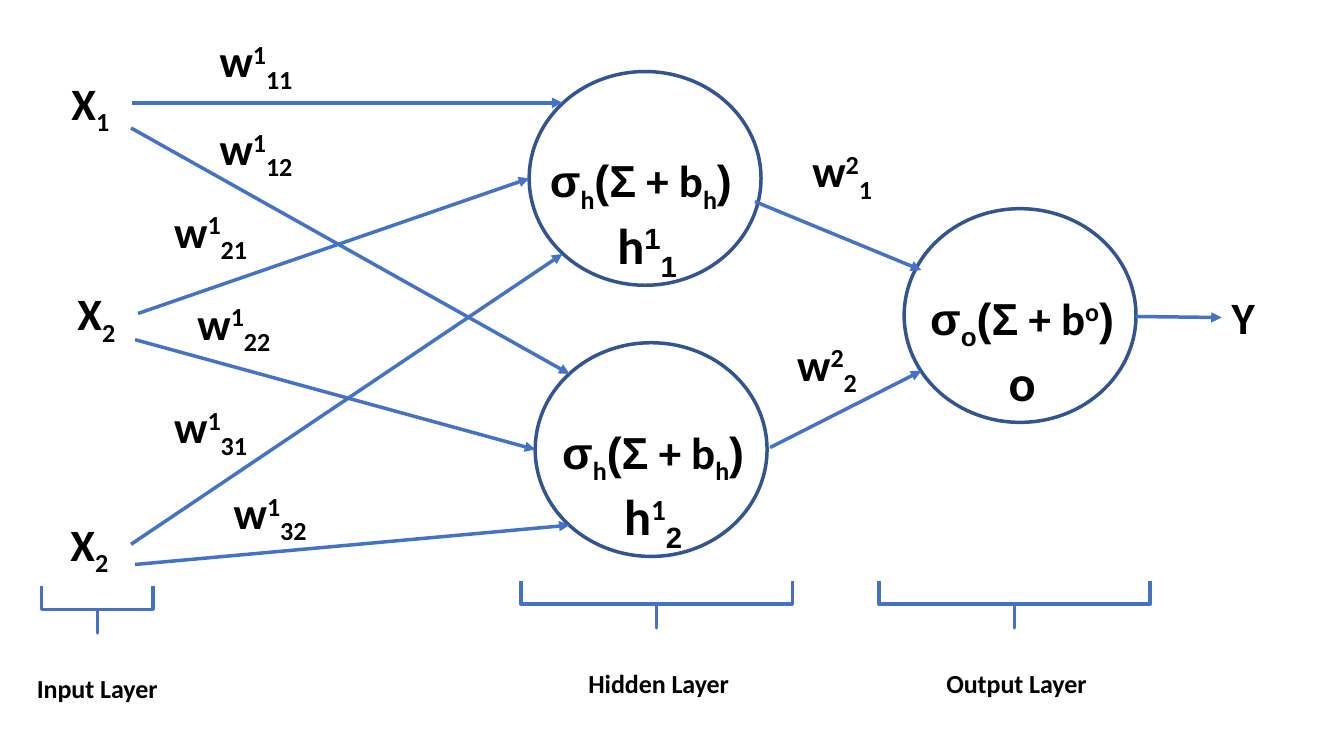
"""Build a slide of a small neural network with weights, neurons and layer braces."""
from pptx import Presentation, util as u
from pptx.dml.color import RGBColor
from pptx.enum import shapes, text
from pptx.oxml import parse_xml
from pptx.oxml.ns import nsdecls, qn

COLOURS = {"ink": "000000", "arrow": "4472C4", "ring": "325491"}
COLUMNS, ROWS = 133.33, 75
CELL = u.Inches(0.1)
LINE_WIDTH = 2.5
SANS, BODY = "Arial", "Calibri"
SUB, SUP = -25, 30

INPUTS = [("X", "1", 6.1, 7), ("X", "2", 6.7, 27.9), ("X", "2", 6, 50.8)]
OUTPUT = ("Y", 121.2, 28.3)
WEIGHTS = [
    ("1", "11", 20.8, 2.8), ("1", "12", 20.8, 11.5),
    ("1", "21", 16.3, 19.7), ("1", "22", 18.6, 28.8),
    ("1", "31", 16.3, 39.1), ("1", "32", 22.2, 47.6),
    ("2", "1", 79.6, 13.7), ("2", "2", 78.1, 32.9),
]
HIDDEN_SUM = [("σ", 0, SANS), ("h", SUB, BODY), ("(Σ", 0, SANS), (" + b", 0, BODY), ("h", SUB, BODY)]
OUTPUT_SUM = [("σ", 0, SANS), ("ο", SUB, SANS), ("(Σ", 0, SANS), (" + b", 0, BODY), ("o", SUP, BODY)]
NEURONS = [
    (52.5, 7.1, HIDDEN_SUM + [(") ", 0, SANS)], [("h", 0, BODY), ("1", SUP, SANS), ("1", SUB, SANS)]),
    (53.1, 34, HIDDEN_SUM + [(")", 0, SANS)], [("h", 0, BODY), ("1", SUP, BODY), ("2", SUB, SANS)]),
    (89.7, 20.7, OUTPUT_SUM + [(")", 0, SANS)], [("o", 0, BODY)]),
]
ARROWS = [
    (13.1, 10.2, 55.8, 10.2), (13, 12.7, 56.5, 37.1),
    (13.7, 31.1, 52.5, 17.7), (13.4, 33.7, 53.1, 44.6),
    (13, 54, 55.8, 25.2), (13.4, 56, 56.5, 52.1),
    (74.9, 20, 91.4, 26.8), (76.4, 44.4, 91.4, 36.8),
    (112.7, 31.4, 121.2, 31.5),
]
LAYERS = [
    ("Input Layer", 9.65, 60.45, 11.1, 0),
    ("Hidden Layer", 65.15, 59.95, 26.9, 0.2),
    ("Output Layer", 100.65, 59.95, 26.9, 0.2),
]
RING_SIZE = (23, 21.2)
FORMULA_SHIFT, FORMULA_SIZE = (1, 7.6), (21.4, 12.5)
BRACE_DEPTH, CAPTION_DROP, CAPTION_SIZE = 4.7, 2.8, (20.3, 4.6)
LABEL_HEIGHT = 6.4


def cells(*counts):
    return [round(count * CELL) for count in counts]


def colour(name):
    return RGBColor.from_string(COLOURS[name])


def add_text(page, place, lines, align=text.PP_ALIGN.LEFT):
    frame = page.shapes.add_textbox(*cells(*place)).text_frame
    frame.word_wrap = True
    frame.auto_size = text.MSO_AUTO_SIZE.SHAPE_TO_FIT_TEXT
    for index, (size, spans) in enumerate(lines):
        para = frame.add_paragraph() if index else frame.paragraphs[0]
        para.alignment = align
        for words, level, face in spans:
            span = para.add_run()
            span.text = words
            for key, value in {"size": u.Pt(size), "bold": True, "name": face}.items():
                setattr(span.font, key, value)
            span.font.color.rgb = colour("ink")
            if level:
                span.font._element.set("baseline", str(level * 1000))


def add_outline(page, kind, place, tone):
    shape = page.shapes.add_shape(kind, *cells(*place))
    shape.shadow.inherit = False
    shape.fill.background()
    shape.line.color.rgb = colour(tone)
    shape.line.width = u.Pt(LINE_WIDTH)
    return shape


def add_arrow(page, ends):
    arrow = page.shapes.add_connector(shapes.MSO_CONNECTOR.STRAIGHT, *cells(*ends))
    arrow.line.color.rgb = colour("arrow")
    arrow.line.width = u.Pt(LINE_WIDTH)
    properties = arrow._element.find(qn("p:spPr"))
    properties.find(qn("a:ln")).append(parse_xml(f'<a:tailEnd {nsdecls("a")} type="triangle"/>'))
    properties.append(parse_xml(f'<a:effectLst {nsdecls("a")}/>'))


def add_layer(page, name, centre, middle, width, shift):
    place = (centre - BRACE_DEPTH / 2, middle - width / 2, BRACE_DEPTH, width)
    brace = add_outline(page, shapes.MSO_SHAPE.RIGHT_BRACE, place, "arrow")
    brace.rotation = 90
    brace.adjustments[0], brace.adjustments[1] = 0, 0.5
    left = centre + shift - CAPTION_SIZE[0] / 2
    add_text(page, (left, middle + CAPTION_DROP, *CAPTION_SIZE),
             [(32, [(name, SUB, BODY)])], text.PP_ALIGN.CENTER)


def main():
    deck = Presentation()
    deck.slide_width, deck.slide_height = cells(COLUMNS, ROWS)
    page = deck.slides.add_slide(deck.slide_layouts[6])
    for left, top, formula, name in NEURONS:
        add_outline(page, shapes.MSO_SHAPE.OVAL, (left, top, *RING_SIZE), "ring")
        corner = (left + FORMULA_SHIFT[0], top + FORMULA_SHIFT[1])
        add_text(page, (*corner, *FORMULA_SIZE), [(32, formula), (36, name)], text.PP_ALIGN.CENTER)
    for ends in ARROWS:
        add_arrow(page, ends)
    for letter, index, left, top in INPUTS:
        add_text(page, (left, top, 7, LABEL_HEIGHT), [(32, [(letter, 0, BODY), (index, SUB, BODY)])])
    for layer, index, left, top in WEIGHTS:
        spans = [("w", 0, BODY), (layer, SUP, BODY), (index, SUB, BODY)]
        add_text(page, (left, top, 10.1, LABEL_HEIGHT), [(32, spans)])
    letter, left, top = OUTPUT
    add_text(page, (left, top, 5.8, LABEL_HEIGHT), [(32, [(letter, 0, BODY)])])
    for layer in LAYERS:
        add_layer(page, *layer)
    deck.save("out.pptx")


if __name__ == "__main__":
    main()
